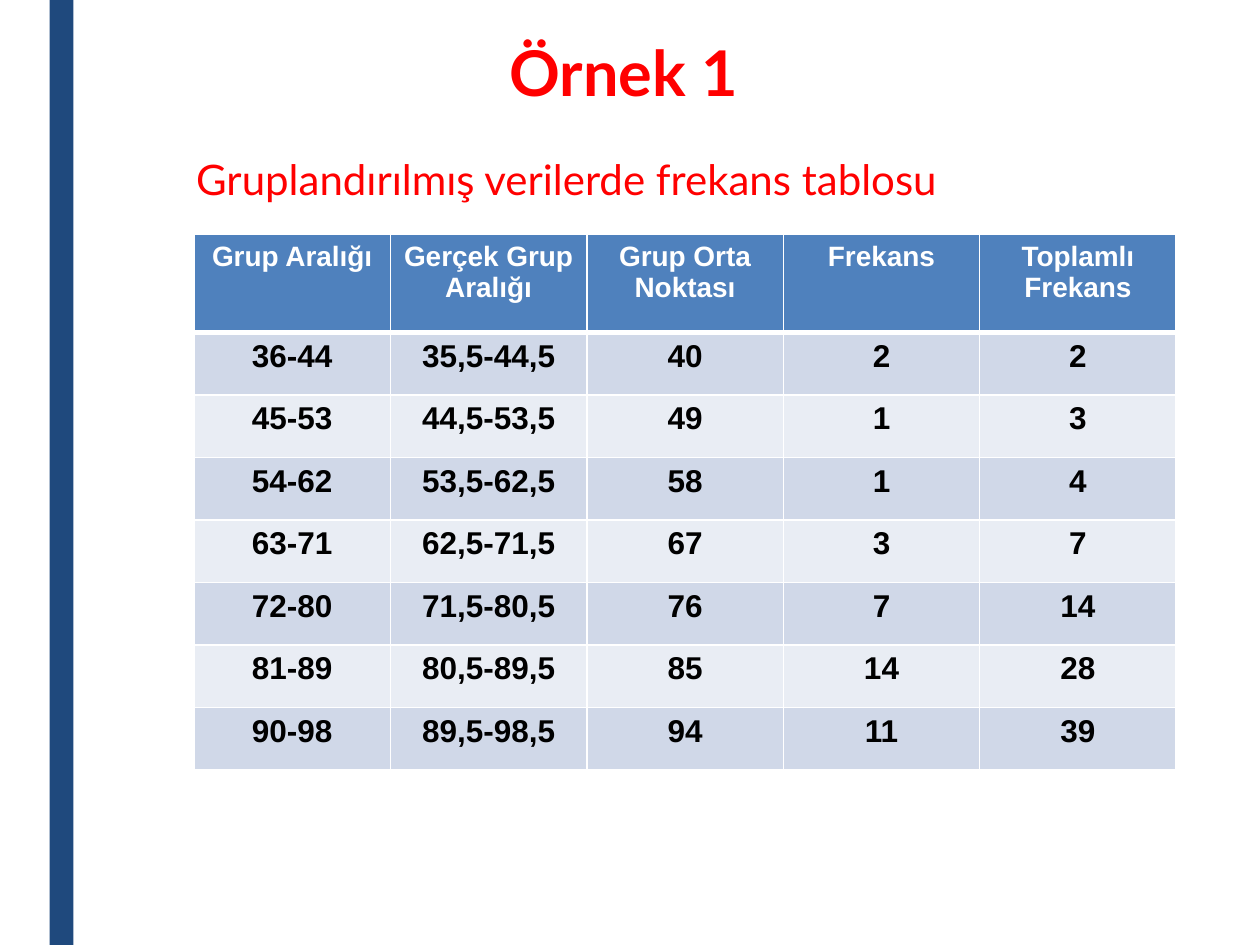
import itertools

import pptx
import pptx.dml.color
import pptx.enum.shapes
import pptx.enum.text
import pptx.oxml
import pptx.oxml.ns
import pptx.util

Cm, Pt = pptx.util.Cm, pptx.util.Pt
ALIGN = pptx.enum.text.PP_ALIGN
LINE = (
    '<a:{tag} {ns} w="{width}"><a:solidFill><a:srgbClr val="{color}"/>'
    "</a:solidFill></a:{tag}>"
)

HEADS = ["Grup Aralığı", "Gerçek Grup Aralığı", "Grup Orta Noktası",
         "Frekans", "Toplamlı Frekans"]
COUNTS = [2, 1, 1, 3, 7, 14, 11]
START, STEP = 36, 9


def rgb(color):
    return pptx.dml.color.RGBColor.from_string(color)


def groups():
    """Rows of range, real range, midpoint, count and running total."""
    rows = []
    for i, (count, total) in enumerate(zip(COUNTS, itertools.accumulate(COUNTS))):
        low = START + i * STEP
        high = low + STEP - 1
        real = f"{low - 1},5-{high},5"
        mid = (low + high) // 2
        rows.append([f"{low}-{high}", real, str(mid), str(count), str(total)])
    return rows


class Deck:
    red, navy, blue, white = "FF0000", "1F497D", "4F81BD", "FFFFFF"
    bands = ["D0D8E8", "E9EDF4"]
    font, grid = "Lato", "Arial"

    def __init__(self):
        self.prs = pptx.Presentation()
        self.prs.slide_width, self.prs.slide_height = Cm(25.4), Cm(19.05)
        self.slide = self.prs.slides.add_slide(self.prs.slide_layouts[5])

    def style(self, frame, text, font, size, color, bold, align):
        """Set the text of a frame, format it and return its paragraph."""
        frame.text = text
        para = frame.paragraphs[0]
        para.alignment = align
        face = para.runs[0].font
        face.name, face.size, face.bold = font, Pt(size), bold
        face.color.rgb = rgb(color)
        return para

    def label(self, shape, x, y, text, size, bold, align):
        """Place a red heading in a title or text box."""
        shape.left, shape.top = Cm(x), Cm(y)
        shape.width, shape.height = Cm(22.05), Cm(2.03)
        frame = shape.text_frame
        frame.word_wrap = True
        frame.auto_size = pptx.enum.text.MSO_AUTO_SIZE.NONE
        frame.vertical_anchor = pptx.enum.text.MSO_ANCHOR.TOP
        para = self.style(frame, text, self.font, size, self.red, bold, align)
        para.line_spacing = 0.89

    def title(self, x, y, text):
        self.label(self.slide.shapes.title, x, y, text, 24, False, ALIGN.LEFT)

    def text(self, x, y, text):
        box = self.slide.shapes.add_textbox(0, 0, 0, 0)
        self.label(box, x, y, text, 36, True, ALIGN.CENTER)

    def bar(self, x, width):
        kind = pptx.enum.shapes.MSO_SHAPE.RECTANGLE
        bar = self.slide.shapes.add_shape(
            kind, Cm(x), 0, Cm(width), self.prs.slide_height)
        bar.shadow.inherit = False
        bar.fill.solid()
        bar.fill.fore_color.rgb = rgb(self.navy)
        bar.line.fill.background()

    def edge(self, cell, top, base):
        """Draw white borders; top and base are widths in points."""
        props = cell._tc.get_or_add_tcPr()
        for tag, width in [("lnL", 1), ("lnR", 1), ("lnT", top), ("lnB", base)]:
            props.append(pptx.oxml.parse_xml(LINE.format(
                tag=tag, ns=pptx.oxml.ns.nsdecls("a"),
                width=Pt(width), color=self.white)))

    def table(self, x, y, col, head, row, data):
        high = head + row * (len(data) - 1)
        table = self.slide.shapes.add_table(
            len(data), len(data[0]), Cm(x), Cm(y),
            Cm(col * len(data[0])), Cm(high)).table
        for column in table.columns:
            column.width = Cm(col)
        for r, line in enumerate(data):
            table.rows[r].height = Cm(row if r else head)
            if r:
                fill, color, size = self.bands[(r - 1) % 2], "000000", 18
            else:
                fill, color, size = self.blue, self.white, 16
            for c, text in enumerate(line):
                cell = table.cell(r, c)
                self.edge(cell, 3 if r == 1 else 1, 1 if r else 3)
                cell.fill.solid()
                cell.fill.fore_color.rgb = rgb(fill)
                self.style(cell.text_frame, text, self.grid, size, color,
                           True, ALIGN.CENTER)


def main():
    deck = Deck()
    deck.bar(1, 0.48)
    deck.title(3.7, 3.1, "Gruplandırılmış verilerde frekans tablosu")
    deck.table(3.91, 4.73, 3.96, 1.97, 1.26, [HEADS] + groups())
    deck.text(1.7, 0.74, "Örnek 1 ")
    deck.prs.save("out.pptx")


if __name__ == "__main__":
    main()
